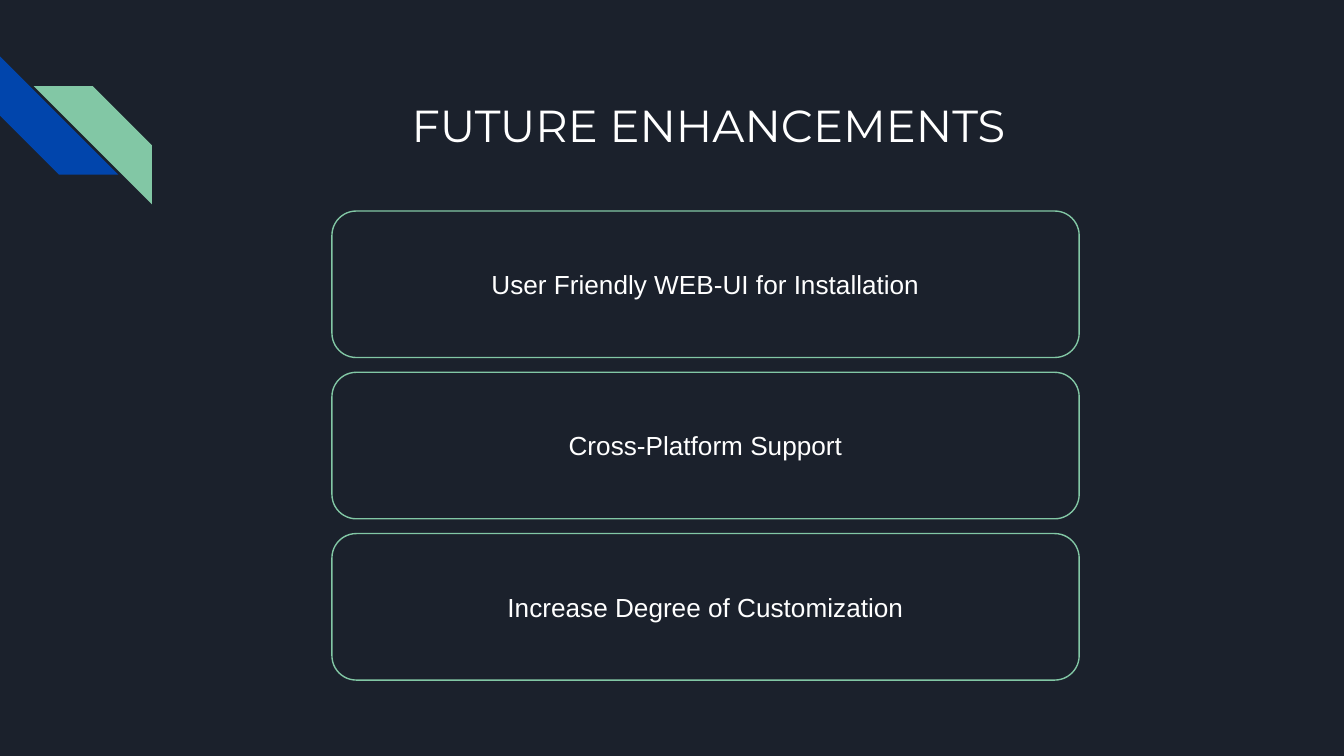
from dataclasses import dataclass

from pptx import Presentation
from pptx.dml.color import RGBColor
from pptx.enum.shapes import MSO_SHAPE
from pptx.enum.text import MSO_ANCHOR, PP_ALIGN
from pptx.shapes.base import BaseShape
from pptx.slide import Slide
from pptx.util import Inches, Pt

NAVY = RGBColor(0x1B, 0x21, 0x2C)
BLUE = RGBColor(0x01, 0x45, 0xAC)
GREEN = RGBColor(0x82, 0xC7, 0xA5)
WHITE = RGBColor(0xFF, 0xFF, 0xFF)

SLIDE_WIDTH = 10
SLIDE_HEIGHT = SLIDE_WIDTH * 9 / 16
STRIPE_SIZE = 0.88
CARD_LEFT, CARD_TOP = 2.47, 1.57
CARD_WIDTH, CARD_HEIGHT = 5.56, 1.09
CARD_PITCH = 1.2


@dataclass(frozen=True)
class Stripe:
    left: float
    top: float
    rotation: int
    color: RGBColor


STRIPES = [Stripe(0, 0.42, 270, BLUE), Stripe(0.25, 0.64, 90, GREEN)]
ENHANCEMENTS = [
    "User Friendly WEB-UI for Installation",
    "Cross-Platform Support",
    "Increase Degree of Customization",
]


def set_text(sp: BaseShape, text: str, font: str, size: int) -> None:
    tf = sp.text_frame
    tf.word_wrap = True
    tf.vertical_anchor = MSO_ANCHOR.MIDDLE
    tf.margin_left = tf.margin_right = tf.margin_top = tf.margin_bottom = Inches(0.1)
    tf.text = text
    p = tf.paragraphs[0]
    p.alignment = PP_ALIGN.CENTER
    p.font.name = font
    p.font.size = Pt(size)
    p.font.color.rgb = WHITE


def add_stripe(s: Slide, stripe: Stripe) -> None:
    sp = s.shapes.add_shape(
        MSO_SHAPE.DIAGONAL_STRIPE, Inches(stripe.left), Inches(stripe.top),
        Inches(STRIPE_SIZE), Inches(STRIPE_SIZE),
    )
    sp.rotation = stripe.rotation
    sp.shadow.inherit = False
    sp.fill.solid()
    sp.fill.fore_color.rgb = stripe.color
    sp.line.fill.background()


def add_title(s: Slide, text: str) -> None:
    title = s.shapes.title
    title.left, title.top = Inches(1.42), Inches(0.43)
    title.width, title.height = Inches(7.7), Inches(1)
    set_text(title, text, "Montserrat", 24)


def add_card(s: Slide, top: float, text: str) -> None:
    sp = s.shapes.add_shape(
        MSO_SHAPE.FLOWCHART_ALTERNATE_PROCESS, Inches(CARD_LEFT), Inches(top),
        Inches(CARD_WIDTH), Inches(CARD_HEIGHT),
    )
    sp.shadow.inherit = False
    sp.fill.background()
    sp.line.color.rgb = GREEN
    sp.line.width = Pt(0.75)
    set_text(sp, text, "Arial", 14)


def main() -> None:
    prs = Presentation()
    prs.slide_width, prs.slide_height = Inches(SLIDE_WIDTH), Inches(SLIDE_HEIGHT)
    s = prs.slides.add_slide(prs.slide_layouts.get_by_name("Title Only"))
    s.background.fill.solid()
    s.background.fill.fore_color.rgb = NAVY

    for stripe in STRIPES:
        add_stripe(s, stripe)
    add_title(s, "FUTURE ENHANCEMENTS")
    for i, text in enumerate(ENHANCEMENTS):
        add_card(s, CARD_TOP + i * CARD_PITCH, text)

    prs.save("out.pptx")


if __name__ == "__main__":
    main()
